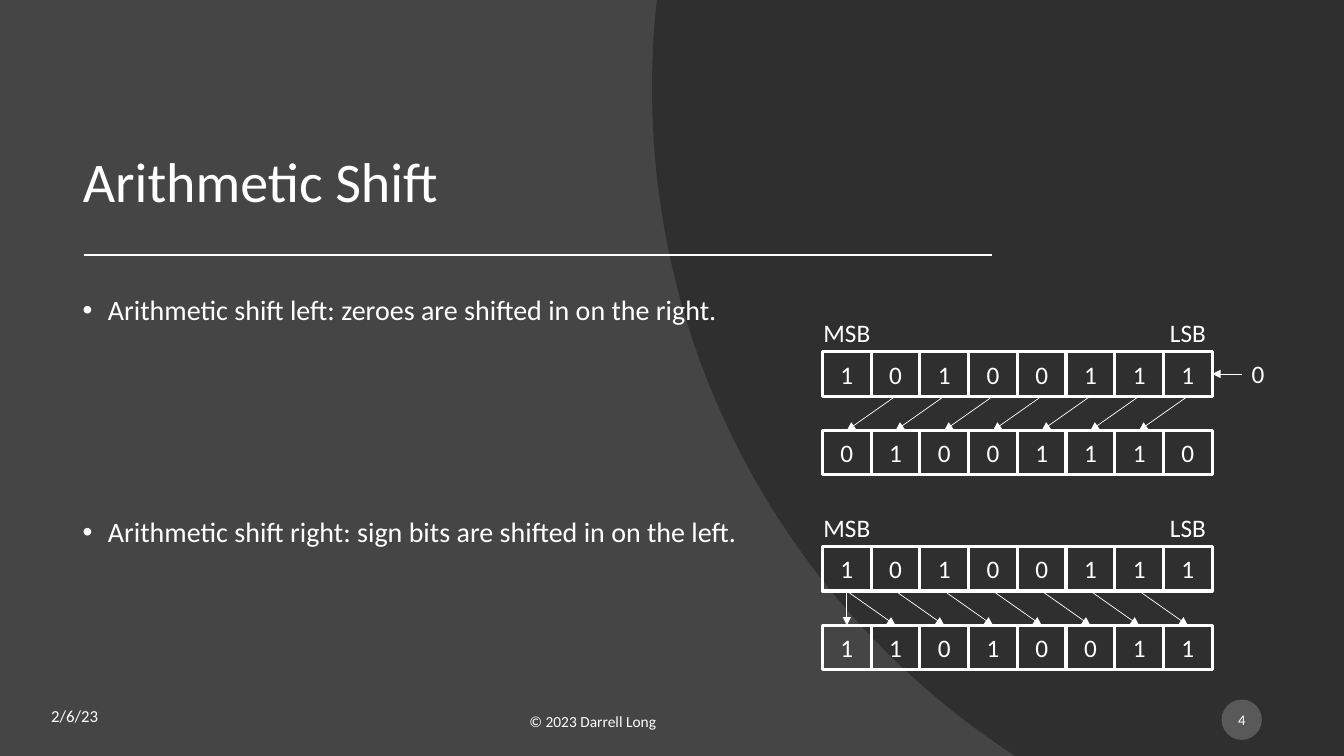
from lxml.etree import SubElement
from pptx import Presentation
from pptx.dml.color import RGBColor
from pptx.enum.shapes import MSO_CONNECTOR, MSO_SHAPE
from pptx.enum.text import MSO_ANCHOR, PP_ALIGN
from pptx.oxml.ns import qn
from pptx.util import Pt

FONT = "Calibri"
WHITE = "FFFFFF"
CELL_LEFT, CELL_WIDTH, CELL_HEIGHT = 587.5, 34.8, 31.7
ROW_STEP = 56.2
TOP, LEFT, BOTTOM, RIGHT = range(4)


def color(value):
    return RGBColor.from_string(value)


def write_text(shape, text, size, align=PP_ALIGN.LEFT, anchor=MSO_ANCHOR.TOP,
               wrap=True, line_spacing=None, bullet=False, space_before=0):
    frame = shape.text_frame
    frame.word_wrap = wrap
    frame.vertical_anchor = anchor
    for index, line in enumerate(text.split("\n")):
        paragraph = frame.paragraphs[0] if index == 0 else frame.add_paragraph()
        paragraph.text = line
        paragraph.alignment = align
        if line_spacing:
            paragraph.line_spacing = line_spacing
        paragraph.space_before = Pt(space_before if index else 0)
        if bullet:
            properties = paragraph._p.get_or_add_pPr()
            properties.set("marL", str(Pt(18)))
            properties.set("indent", str(-Pt(18)))
            SubElement(properties, qn("a:buFont")).set("typeface", "Arial")
            SubElement(properties, qn("a:buChar")).set("char", "•")
        paragraph.font.name = FONT
        paragraph.font.size = Pt(size)
        paragraph.font.color.rgb = color(WHITE)


def add_text(slide, left, top, width, height, text, size, **text_format):
    box = slide.shapes.add_textbox(Pt(left), Pt(top), Pt(width), Pt(height))
    write_text(box, text, size, **text_format)
    return box


def add_box(slide, kind, left, top, width, height, text, size, fill=None, border=None):
    shape = slide.shapes.add_shape(kind, Pt(left), Pt(top), Pt(width), Pt(height))
    shape.shadow.inherit = False
    if fill:
        shape.fill.solid()
        shape.fill.fore_color.rgb = color(fill)
    else:
        shape.fill.background()
    if border:
        shape.line.color.rgb = color(WHITE)
        shape.line.width = Pt(border)
    else:
        shape.line.fill.background()
    frame = shape.text_frame
    frame.margin_left = frame.margin_right = frame.margin_top = frame.margin_bottom = 0
    write_text(shape, text, size, align=PP_ALIGN.CENTER, anchor=MSO_ANCHOR.MIDDLE, wrap=False)
    return shape


def add_line(slide, start, end, width, arrow=False):
    line = slide.shapes.add_connector(
        MSO_CONNECTOR.STRAIGHT, *[Pt(value) for value in (*start, *end)])
    line.line.color.rgb = color(WHITE)
    line.line.width = Pt(width)
    if arrow:
        SubElement(line.line._get_or_add_ln(), qn("a:tailEnd")).set("type", "triangle")
    SubElement(line._element.spPr, qn("a:effectLst"))
    return line


def curve_points(start, control_1, control_2, end, steps=40):
    points = []
    for step in range(1, steps + 1):
        t = step / steps
        weights = ((1 - t) ** 3, 3 * t * (1 - t) ** 2, 3 * t ** 2 * (1 - t), t ** 3)
        corners = (start, control_1, control_2, end)
        points.append(tuple(sum(weight * corner[axis] for weight, corner in zip(weights, corners))
                            for axis in (0, 1)))
    return points


def add_backdrop(slide):
    curve_start, curve_middle = (716.4, 534.2), (465.8, 63.4)
    points = [(960, 0), (960, 540), (725, 540), curve_start]
    points += curve_points(curve_start, (565.2, 432), (465.8, 259.2), curve_middle)
    points += curve_points(curve_middle, (465.8, 43.9), (466.6, 24.5), (468.7, 5), steps=6)
    builder = slide.shapes.build_freeform(Pt(469.4), 0)
    builder.add_line_segments([(Pt(x), Pt(y)) for x, y in points], close=True)
    backdrop = builder.convert_to_shape()
    backdrop.shadow.inherit = False
    backdrop.fill.solid()
    backdrop.fill.fore_color.rgb = color("262626")
    backdrop.line.fill.background()
    fill_color = backdrop._element.spPr.find(qn("a:solidFill"))[0]
    SubElement(fill_color, qn("a:alpha")).set("val", "70000")


def add_register(slide, top, bits):
    return [add_box(slide, MSO_SHAPE.RECTANGLE, CELL_LEFT + index * CELL_WIDTH, top,
                    CELL_WIDTH, CELL_HEIGHT, bit, 18, border=2.25)
            for index, bit in enumerate(bits)]


def add_shift(slide, top, before, after, moves):
    source = add_register(slide, top, before)
    target = add_register(slide, top + ROW_STEP, after)
    for label, index in (("MSB", 0), ("LSB", len(before) - 1)):
        center = CELL_LEFT + (index + 0.5) * CELL_WIDTH
        add_text(slide, center - 24, top - 28, 48, 29, label, 18,
                 align=PP_ALIGN.CENTER, wrap=False)
    for origin, destination in moves:
        arrow = add_line(slide, (0, 0), (0, 0), 0.5, arrow=True)
        arrow.begin_connect(source[origin], BOTTOM)
        arrow.end_connect(target[destination], TOP)
    return source


def main():
    presentation = Presentation()
    presentation.slide_width, presentation.slide_height = Pt(960), Pt(540)
    slide = presentation.slides.add_slide(presentation.slide_layouts[5])
    slide.background.fill.solid()
    slide.background.fill.fore_color.rgb = color("454545")
    add_backdrop(slide)

    title = slide.shapes.title
    title.left, title.top, title.width, title.height = Pt(52), Pt(29), Pt(710), Pt(128)
    write_text(title, "Arithmetic Shift", 40, anchor=MSO_ANCHOR.BOTTOM, line_spacing=0.9)
    add_line(slide, (60.2, 182), (708.5, 182), 1.5)
    add_text(slide, 52, 208, 710, 262,
             "Arithmetic shift left: zeroes are shifted in on the right.\n"
             "Arithmetic shift right: sign bits are shifted in on the left.",
             20, line_spacing=0.9, bullet=True, space_before=137)

    left_top, right_top = 251.3, 390.5
    left_source = add_shift(slide, left_top, "10100111", "01001110",
                            [(index + 1, index) for index in range(7)])
    middle = left_top + CELL_HEIGHT / 2
    add_text(slide, 887, left_top + 1.4, 24, 29, "0", 18, wrap=False)
    incoming = add_line(slide, (887, middle), (866, middle), 0.5, arrow=True)
    incoming.end_connect(left_source[-1], RIGHT)
    add_shift(slide, right_top, "10100111", "11010011",
              [(0, 0)] + [(index, index + 1) for index in range(7)])

    add_text(slide, 29.5, 497, 105, 29, "2/6/23", 12, anchor=MSO_ANCHOR.MIDDLE)
    add_text(slide, 371, 501, 210, 29, "© 2023 Darrell Long", 11, anchor=MSO_ANCHOR.MIDDLE)
    add_box(slide, MSO_SHAPE.OVAL, 872.6, 499.7, 28.8, 28.8, "4", 10.5, fill="595959")
    presentation.save("out.pptx")


if __name__ == "__main__":
    main()
